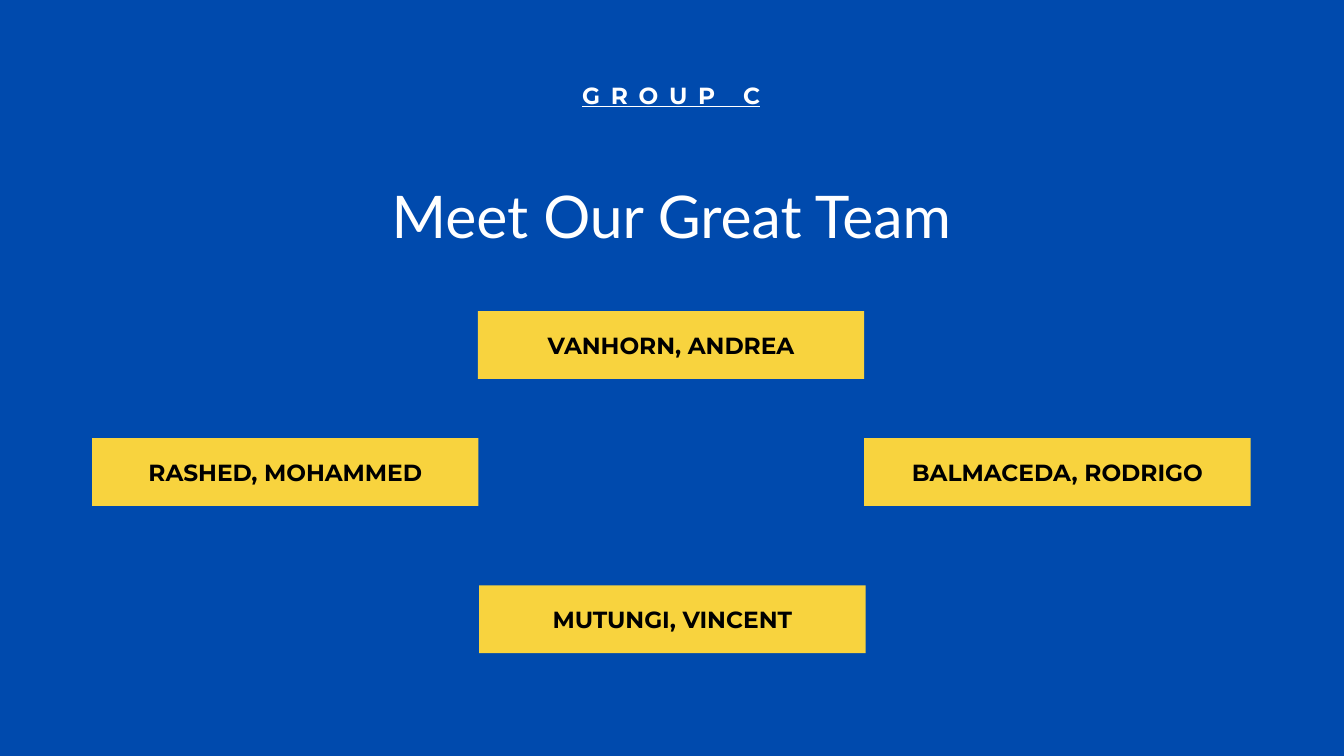
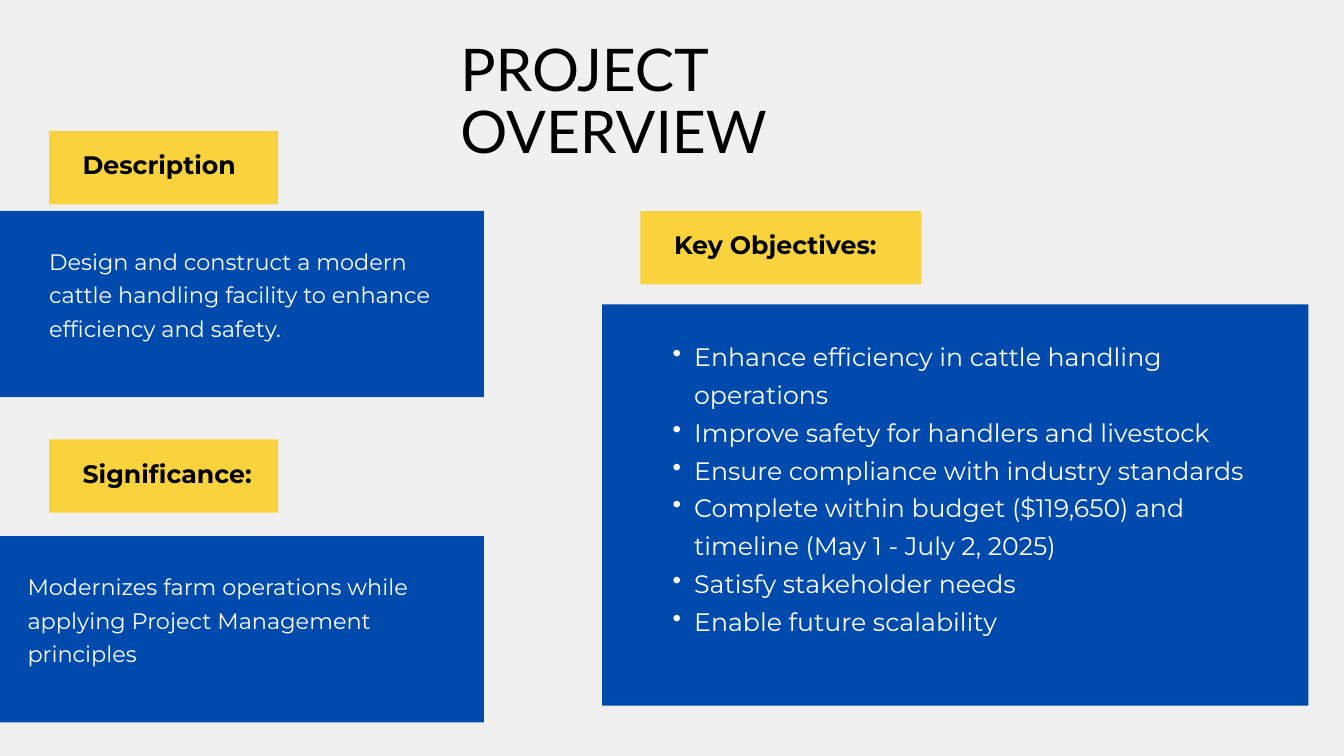
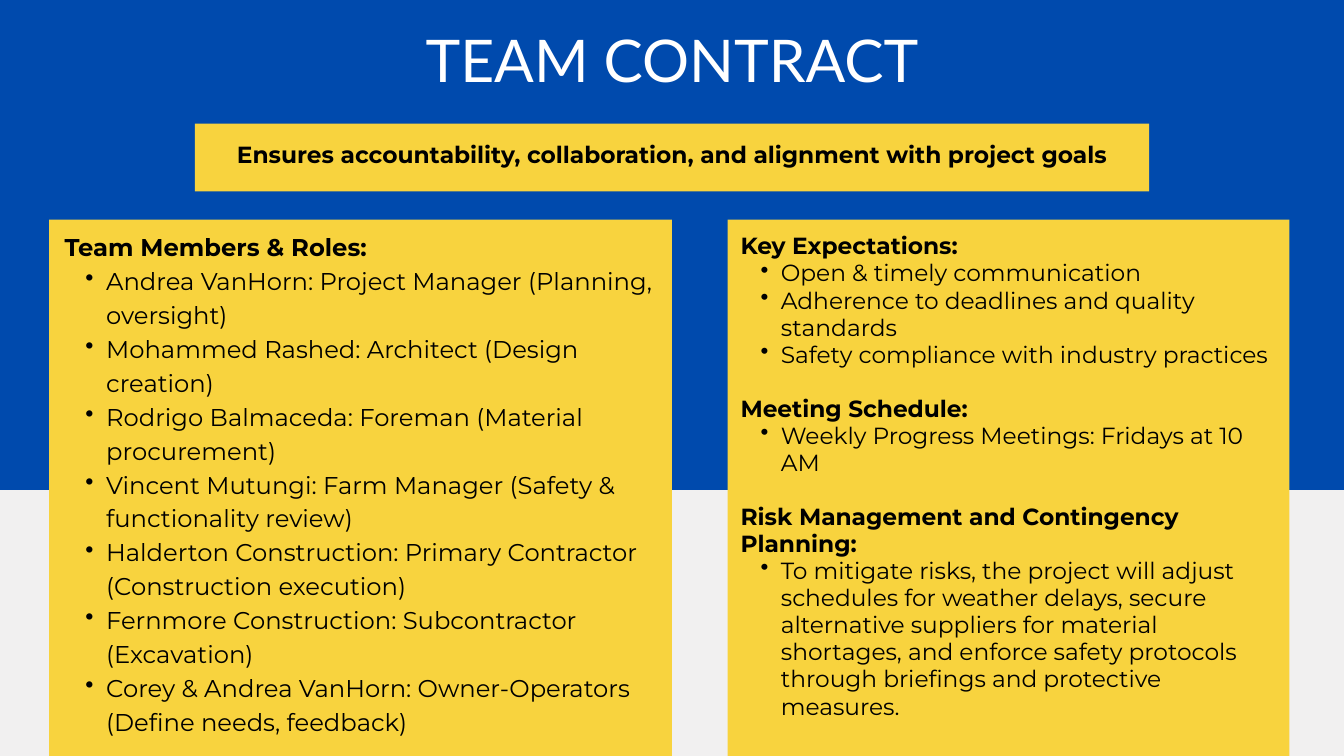
"""Build three slides that present a project team, its goals and its contract."""
from dataclasses import dataclass
from typing import NamedTuple

from lxml.etree import SubElement
from pptx import Presentation
from pptx.dml.color import RGBColor
from pptx.enum.shapes import MSO_SHAPE
from pptx.enum.text import MSO_ANCHOR, MSO_AUTO_SIZE, PP_ALIGN
from pptx.oxml.ns import qn
from pptx.shapes.autoshape import Shape
from pptx.slide import Slide
from pptx.util import Inches, Pt

COLOR = {
    "blue": "004AAD",
    "gold": "F8D33E",
    "pale": "F1F0F0",
    "white": "FFFFFF",
    "black": "000000",
}
LEFT, MID = PP_ALIGN.LEFT, PP_ALIGN.CENTER
FRAME = {
    "margin_left": 0,
    "margin_top": 0,
    "margin_right": 0,
    "margin_bottom": 0,
    "word_wrap": True,
    "auto_size": MSO_AUTO_SIZE.NONE,
    "vertical_anchor": MSO_ANCHOR.TOP,
}


class Box(NamedTuple):
    """Left, top, width and height in inches."""

    left: float
    top: float
    width: float
    height: float


@dataclass(frozen=True)
class Style:
    """Look of a text."""

    size: float
    pitch: float
    color: str = "black"
    bold: bool = False
    align: PP_ALIGN = LEFT
    font: str = "Montserrat"
    under: bool = False
    track: float = 0
    indent: float = 0


@dataclass(frozen=True)
class Part:
    """A bold heading, which may be empty, with its bullet points."""

    head: str
    items: tuple[str, ...]


NAME = Style(25, 25, bold=True, align=MID)
GROUP = Style(25, 49.7, "white", True, MID, under=True, track=11.5)
LABEL = Style(27, 27, bold=True)
BODY = Style(24, 36, "white")
GOALS = Style(27, 40.5, "white", indent=0.32)
ROLES = Style(26, 36.4, indent=0.31)
RULES = Style(25, 29, indent=0.3)

CARD_W, CARD_H = 5.75, 1.01
TEAM = (
    ("RASHED, MOHAMMED", 1.37, 6.52),
    ("VANHORN, ANDREA", 7.11, 4.63),
    ("BALMACEDA, RODRIGO", 12.86, 6.52),
    ("MUTUNGI, VINCENT", 7.13, 8.71),
)
TAGS = (
    ("Description", Box(0.73, 1.95, 3.41, 1.09)),
    ("Significance:", Box(0.73, 6.54, 3.41, 1.09)),
    ("Key Objectives:", Box(9.53, 3.14, 4.18, 1.09)),
)
FACTS = (
    ("Design and construct a modern cattle handling facility to enhance "
     "efficiency and safety.", 3.14, 0.73),
    ("Modernizes farm operations while applying Project Management principles",
     7.98, 0.41),
)
AIMS = (
    Part("", (
        "Enhance efficiency in cattle handling operations",
        "Improve safety for handlers and livestock",
        "Ensure compliance with industry standards",
        "Complete within budget ($119,650) and timeline (May 1 - July 2, 2025)",
        "Satisfy stakeholder needs",
        "Enable future scalability",
    )),
)
CREW = (
    Part("Team Members & Roles:", (
        "Andrea VanHorn: Project Manager (Planning, oversight)",
        "Mohammed Rashed: Architect (Design creation)",
        "Rodrigo Balmaceda: Foreman (Material procurement)",
        "Vincent Mutungi: Farm Manager (Safety & functionality review)",
        "Halderton Construction: Primary Contractor (Construction execution)",
        "Fernmore Construction: Subcontractor (Excavation)",
        "Corey & Andrea VanHorn: Owner-Operators (Define needs, feedback)",
    )),
)
TERMS = (
    Part("Key Expectations:", (
        "Open & timely communication",
        "Adherence to deadlines and quality standards",
        "Safety compliance with industry practices",
    )),
    Part("Meeting Schedule:", ("Weekly Progress Meetings: Fridays at 10 AM",)),
    Part("Risk Management and Contingency Planning:", (
        "To mitigate risks, the project will adjust schedules for weather "
        "delays, secure alternative suppliers for material shortages, and "
        "enforce safety protocols through briefings and protective measures.",
    )),
)


def apply(target: object, values: dict[str, object]) -> None:
    """Set each named value on the target."""
    for key, value in values.items():
        setattr(target, key, value)


def rgb(name: str) -> RGBColor:
    """Look up a colour by name."""
    return RGBColor.from_string(COLOR[name])


def place(box: Box) -> tuple[Inches, ...]:
    """Turn a box into lengths."""
    return tuple(Inches(side) for side in box)


def card(slide: Slide, box: Box, color: str) -> None:
    """Draw a plain filled rectangle."""
    shape = slide.shapes.add_shape(MSO_SHAPE.RECTANGLE, *place(box))
    shape.shadow.inherit = False
    shape.fill.solid()
    shape.fill.fore_color.rgb = rgb(color)
    shape.line.fill.background()


def write(shape: Shape, text: str, style: Style, bold: bool, gap: float = 0,
          dot: bool = False) -> None:
    """Fill the first paragraph, or add one if it is in use."""
    frame = shape.text_frame
    para = frame.paragraphs[0] if not frame.text else frame.add_paragraph()
    if dot:
        props = para._p.get_or_add_pPr()
        props.set("marL", str(Inches(2 * style.indent)))
        props.set("indent", str(-Inches(style.indent)))
        SubElement(props, qn("a:buChar")).set("char", "•")
    apply(para, {"alignment": style.align, "line_spacing": Pt(style.pitch),
                 "space_before": Pt(gap)})
    run = para.add_run()
    run.text = text
    apply(run.font, {"name": style.font, "size": Pt(style.size), "bold": bold,
                     "underline": style.under})
    run.font.color.rgb = rgb(style.color)
    if style.track:
        run._r.get_or_add_rPr().set("spc", str(int(style.track * 100)))


def field(slide: Slide, box: Box) -> Shape:
    """Add an empty text box without margins."""
    shape = slide.shapes.add_textbox(*place(box))
    apply(shape.text_frame, FRAME)
    return shape


def note(slide: Slide, box: Box, text: str, style: Style) -> None:
    """Add a text box with one paragraph."""
    write(field(slide, box), text, style, style.bold)


def listing(slide: Slide, box: Box, parts: tuple[Part, ...], style: Style) -> None:
    """Add headings with bullets, one blank line's height between parts."""
    shape = field(slide, box)
    for rank, part in enumerate(parts):
        if part.head:
            write(shape, part.head, style, True, style.pitch if rank else 0)
        for item in part.items:
            write(shape, item, style, False, dot=True)


def start(deck: Presentation, back: str) -> Slide:
    """Add a title-only slide with a plain background."""
    slide = deck.slides.add_slide(deck.slide_layouts[5])
    slide.background.fill.solid()
    slide.background.fill.fore_color.rgb = rgb(back)
    return slide


def title(slide: Slide, text: str, box: Box, color: str, align: PP_ALIGN) -> None:
    """Place the title in front of what is drawn so far."""
    shape = slide.shapes.title
    apply(shape, dict(zip(("left", "top", "width", "height"), place(box))))
    apply(shape.text_frame, FRAME)
    write(shape, text, Style(63, 66.8, color, align=align, font="Lato"), False)
    slide.shapes.element.append(shape.element)


def team(deck: Presentation) -> None:
    """Build the team slide."""
    slide = start(deck, "blue")
    note(slide, Box(7.97, 0.93, 4.04, 0.61), "GROUP C", GROUP)
    title(slide, "Meet Our Great Team", Box(3.67, 2.8, 12.64, 0.96), "white", MID)
    for name, left, top in TEAM:
        card(slide, Box(left, top, CARD_W, CARD_H), "gold")
        note(slide, Box(left + 0.64, top + 0.36, 4.47, 0.35), name, NAME)


def overview(deck: Presentation) -> None:
    """Build the project overview slide."""
    slide = start(deck, "pale")
    title(slide, "PROJECT OVERVIEW", Box(6.85, 0.61, 6.31, 0.96), "black", LEFT)
    for text, top, left in FACTS:
        card(slide, Box(0, top, 7.2, 2.77), "blue")
        note(slide, Box(left, top + 0.45, 6.93 - left, 1.97), text, BODY)
    for text, box in TAGS:
        card(slide, box, "gold")
        inner = Box(box.left + 0.5, box.top + 0.35, box.width - 0.76, 0.74)
        note(slide, inner, text, LABEL)
    card(slide, Box(8.96, 4.53, 10.51, 5.97), "blue")
    listing(slide, Box(9.69, 4.97, 9.27, 5.03), AIMS, GOALS)


def contract(deck: Presentation) -> None:
    """Build the team contract slide."""
    slide = start(deck, "pale")
    card(slide, Box(0, 0, 20, 7.29), "blue")
    title(slide, "TEAM CONTRACT", Box(2.62, 0.47, 14.76, 0.96), "white", MID)
    card(slide, Box(2.9, 1.84, 14.2, CARD_H), "gold")
    note(slide, Box(2.83, 2.16, 14.34, 0.69), "Ensures accountability, "
         "collaboration, and alignment with project goals", NAME)
    for left, width in ((0.73, 9.27), (10.83, 8.36)):
        card(slide, Box(left, 3.27, width, 7.98), "gold")
    listing(slide, Box(0.96, 3.38, 8.79, 7.87), CREW, ROLES)
    listing(slide, Box(11.02, 3.46, 7.85, 7.79), TERMS, RULES)


def main() -> None:
    """Build and save the deck."""
    deck = Presentation()
    apply(deck, {"slide_width": Inches(20), "slide_height": Inches(11.25)})
    for build in (team, overview, contract):
        build(deck)
    deck.save("out.pptx")


if __name__ == "__main__":
    main()
